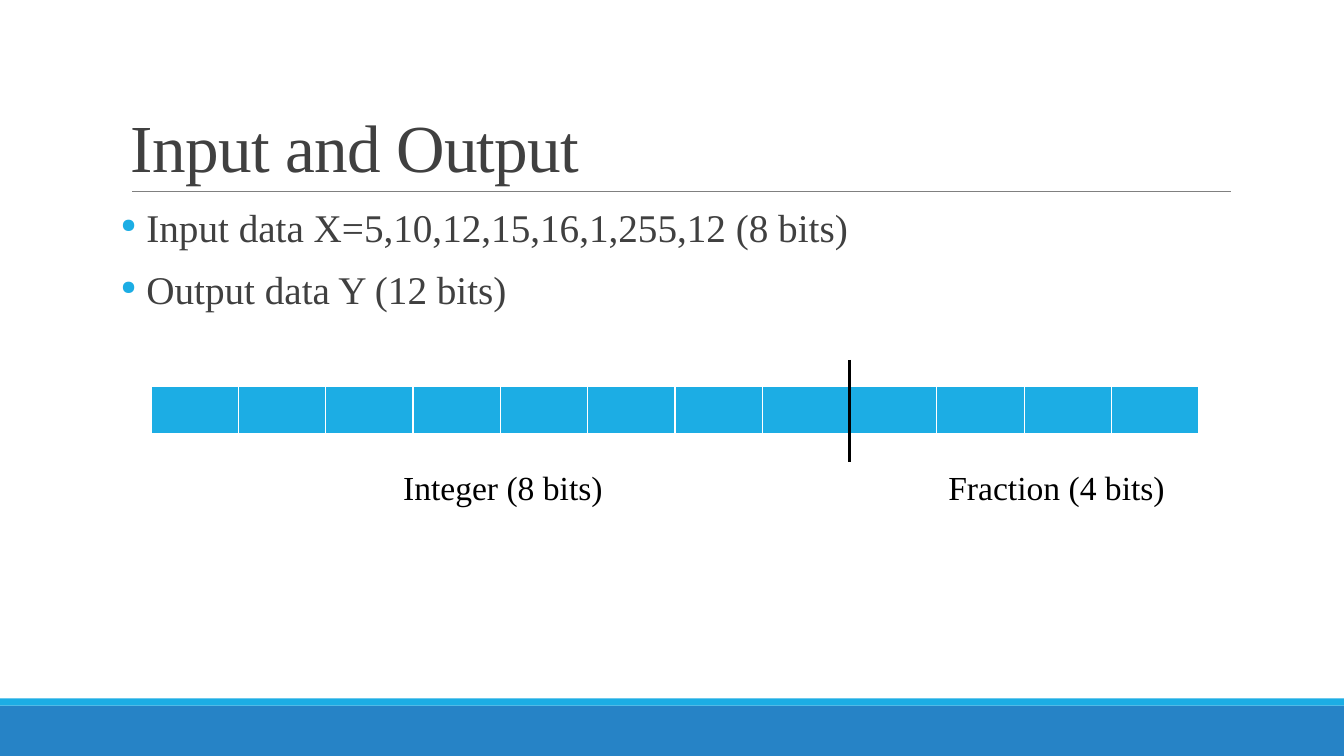
import pptx
import pptx.util
import pptx.dml.color
import pptx.enum.shapes
import pptx.enum.text
import pptx.oxml
import pptx.oxml.ns
from pptx.util import Cm

COLORS = {"sky": "1CADE4", "blue": "2683C6", "rule": "808080",
          "body": "404040", "black": "000000", "white": "FFFFFF"}
FONT = "Times New Roman"
SLIDE_W, SLIDE_H = 33.87, 19.05

TITLE = "Input and Output"
BULLETS = [" Input data X=5,10,12,15,16,1,255,12 (8 bits)",
           " Output data Y (12 bits)"]
LABELS = [("Integer (8 bits)", 9.91, 5.59), ("Fraction (4 bits)", 23.65, 6.02)]
INTEGER_BITS, FRACTION_BITS = 8, 4
FOOTER_BARS = [(17.78, 1.27, "blue"), (17.6, 0.18, "sky")]
BIT_LEFT, BIT_TOP, BIT_W, BIT_H = 3.81, 9.73, 2.2, 1.24
DIVIDER_TOP, LABEL_TOP = 9.07, 11.63
BORDERS = [("lnL", 1), ("lnR", 1), ("lnT", 1), ("lnB", 3)]


def rgb(name):
    return pptx.dml.color.RGBColor.from_string(COLORS[name])


def xml(tag, attrs="", inner=""):
    ns = pptx.oxml.ns.nsdecls("a")
    return pptx.oxml.parse_xml(f"<a:{tag} {ns} {attrs}>{inner}</a:{tag}>")


def solid(name):
    return f'<a:solidFill><a:srgbClr val="{COLORS[name]}"/></a:solidFill>'


def add_line(s, x1, y1, x2, y2, color, width):
    line = s.shapes.add_connector(pptx.enum.shapes.MSO_CONNECTOR.STRAIGHT,
                                  Cm(x1), Cm(y1), Cm(x2), Cm(y2))
    line.line.color.rgb = rgb(color)
    line.line.width = pptx.util.Pt(width)
    line._element.spPr.append(xml("effectLst"))


def add_box(s, x, y, w, h, wrap=True):
    tf = s.shapes.add_textbox(Cm(x), Cm(y), Cm(w), Cm(h)).text_frame
    tf.word_wrap = wrap
    return tf


def add_run(p, text, size, color):
    r = p.add_run()
    r.text = text
    r.font.name = FONT
    r.font.size = pptx.util.Pt(size)
    r.font.color.rgb = rgb(color)
    return r


def add_footer(s):
    for y, h, color in FOOTER_BARS:
        sp = s.shapes.add_shape(pptx.enum.shapes.MSO_SHAPE.RECTANGLE,
                                0, Cm(y), Cm(SLIDE_W), Cm(h))
        sp.shadow.inherit = False
        sp.fill.solid()
        sp.fill.fore_color.rgb = rgb(color)
        sp.line.fill.background()


def add_title(s):
    add_line(s, 3.33, 4.83, 31.01, 4.83, "rule", 0.5)
    tf = add_box(s, 3.05, 0.79, 27.94, 4.04)
    tf.vertical_anchor = pptx.enum.text.MSO_ANCHOR.BOTTOM
    p = tf.paragraphs[0]
    p.line_spacing = 0.85
    r = add_run(p, TITLE, 48, "body")
    r._r.get_or_add_rPr().set("spc", "-50")


def add_bullets(s):
    tf = add_box(s, 3.05, 5.13, 27.94, 11.18)
    tf.margin_left = tf.margin_right = 0
    for i, text in enumerate(BULLETS):
        p = tf.add_paragraph() if i else tf.paragraphs[0]
        p.line_spacing = 0.9
        p.space_before = pptx.util.Pt(12)
        p.space_after = pptx.util.Pt(2)
        pPr = p._p.get_or_add_pPr()
        pPr.set("marL", str(Cm(0.25)))
        pPr.set("indent", str(Cm(-0.25)))
        pPr.append(xml("buClr", inner=f'<a:srgbClr val="{COLORS["sky"]}"/>'))
        pPr.append(xml("buSzPct", 'val="50000"'))
        pPr.append(xml("buChar", 'char="●"'))
        add_run(p, text, 28, "body")


def add_bits(s):
    count = INTEGER_BITS + FRACTION_BITS
    table = s.shapes.add_table(1, count, Cm(BIT_LEFT), Cm(BIT_TOP),
                               Cm(BIT_W * count), Cm(BIT_H)).table
    for column in table.columns:
        column.width = Cm(BIT_W)
    for cell in table.iter_cells():
        cell.fill.solid()
        cell.fill.fore_color.rgb = rgb("sky")
        tcPr = cell._tc.get_or_add_tcPr()
        for i, (side, width) in enumerate(BORDERS):
            attrs = f'w="{pptx.util.Pt(width)}"'
            tcPr.insert(i, xml(side, attrs, solid("white")))
    x = BIT_LEFT + BIT_W * INTEGER_BITS
    add_line(s, x, DIVIDER_TOP, x, LABEL_TOP, "black", 2.25)
    for text, left, width in LABELS:
        tf = add_box(s, left, LABEL_TOP, width, 1.27, wrap=False)
        tf.auto_size = pptx.enum.text.MSO_AUTO_SIZE.SHAPE_TO_FIT_TEXT
        add_run(tf.paragraphs[0], text, 24, "black")


def main():
    prs = pptx.Presentation()
    prs.slide_width, prs.slide_height = Cm(SLIDE_W), Cm(SLIDE_H)
    s = prs.slides.add_slide(prs.slide_layouts[6])
    add_footer(s)
    add_title(s)
    add_bullets(s)
    add_bits(s)
    prs.save("out.pptx")


if __name__ == "__main__":
    main()
